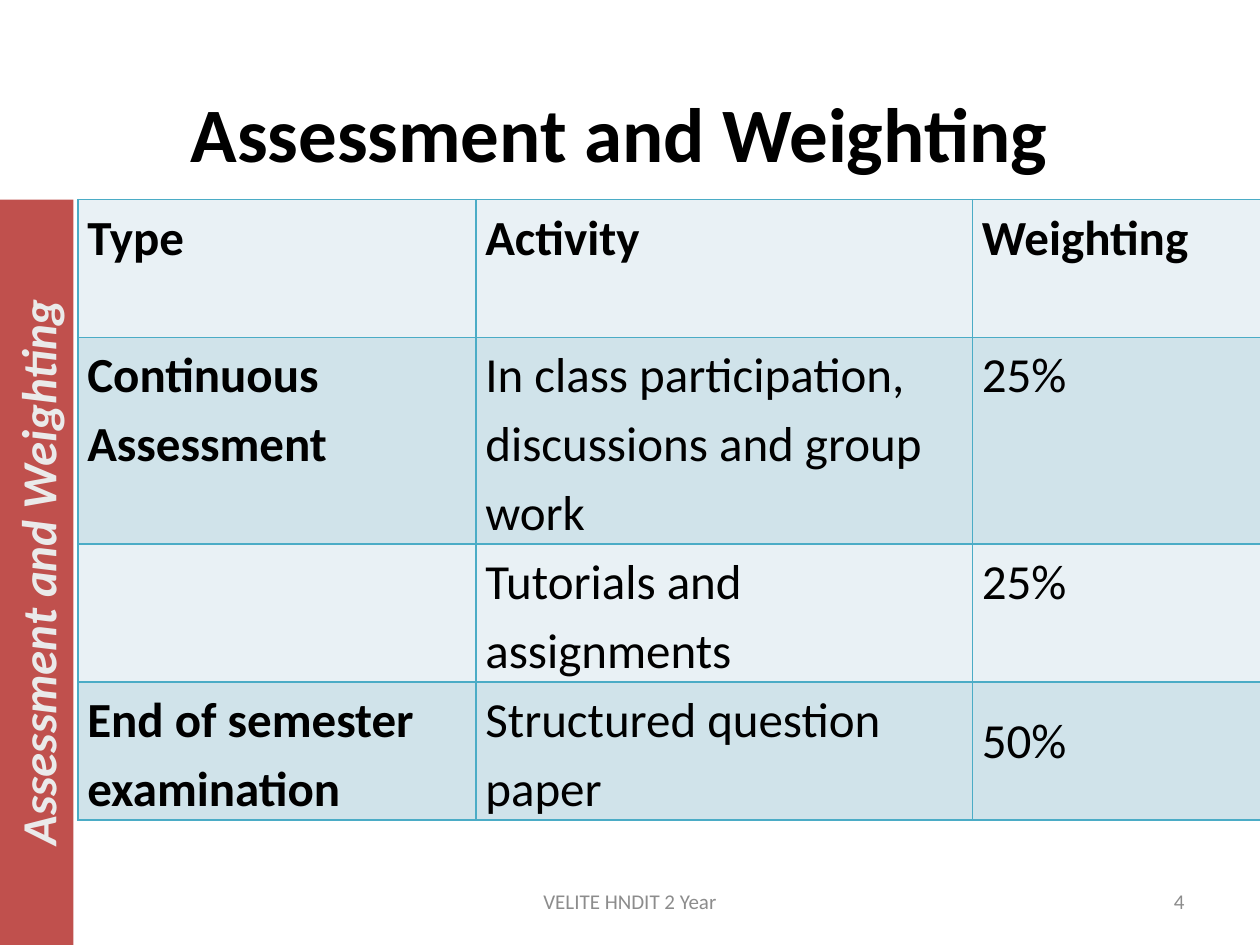
from typing import NamedTuple

from pptx import Presentation
from pptx.dml.color import RGBColor
from pptx.enum.shapes import MSO_SHAPE
from pptx.enum.text import MSO_ANCHOR, PP_ALIGN
from pptx.oxml.ns import qn
from pptx.util import Pt
from lxml import etree

LEFT, CENTER, RIGHT = PP_ALIGN.LEFT, PP_ALIGN.CENTER, PP_ALIGN.RIGHT
MIDDLE = MSO_ANCHOR.MIDDLE
RECTANGLE = MSO_SHAPE.RECTANGLE
TITLE_ONLY = 5

FONT = "Calibri"
BLACK, GREY, PALE = "000000", "8C8C8C", "EAEAEA"
RED, TEAL = "C0504D", "4BACC6"
BANDS = ("E9F1F5", "D0E3EA")
HEADING = "Assessment and Weighting"

COLUMN_WIDTHS = (227.5, 283.7, 164.9)
ROW_HEIGHTS = (78.8, 118.2, 78.8, 78.8)


class Cell(NamedTuple):
    """Text of one table cell and its format."""
    text: str
    bold: bool = False
    spacing: float = 1.15


class Footer(NamedTuple):
    """One text at the foot of the slide."""
    text: str
    left: float
    width: float
    align: PP_ALIGN


ROWS = (
    (Cell("Type", True), Cell("Activity", True), Cell("Weighting", True)),
    (Cell("Continuous Assessment", True),
     Cell("In class participation, discussions and group work"), Cell("25%")),
    (Cell(""), Cell("Tutorials and assignments"), Cell("25%")),
    (Cell("End of semester examination", True),
     Cell("Structured question paper"), Cell("50%", spacing=1.5)),
)
FOOTERS = (
    Footer("VELITE HNDIT 2 Year", 246, 228, CENTER),
    Footer("4", 516, 168, RIGHT),
)


def rgb(color: str) -> RGBColor:
    """Turn a hex string into a colour."""
    return RGBColor.from_string(color)


def write(tf, text: str, *, size: float, color: str = BLACK, bold: bool = False,
          italic: bool = False, align: PP_ALIGN = LEFT, spacing: float = 1.0,
          after: float = 0) -> None:
    """Write one formatted paragraph into a text frame."""
    tf.word_wrap = True
    p = tf.paragraphs[0]
    p.alignment, p.line_spacing, p.space_after = align, spacing, Pt(after)
    r = p.add_run()
    r.text = text
    font = r.font
    font.name, font.size, font.bold, font.italic = FONT, Pt(size), bold, italic
    font.color.rgb = rgb(color)


def add_borders(cell, color: str, width: float) -> None:
    """Draw a line on all four sides of a table cell."""
    tc_pr = cell._tc.get_or_add_tcPr()
    for side in ("a:lnL", "a:lnR", "a:lnT", "a:lnB"):
        ln = etree.SubElement(tc_pr, qn(side), w=str(int(Pt(width))))
        fill = etree.SubElement(ln, qn("a:solidFill"))
        etree.SubElement(fill, qn("a:srgbClr"), val=color)


def add_title(slide) -> None:
    """Place and fill the title placeholder."""
    title = slide.shapes.title
    title.left, title.top, title.width, title.height = Pt(30), Pt(30), Pt(648), Pt(90)
    title.text_frame.vertical_anchor = MIDDLE
    write(title.text_frame, HEADING, size=44, bold=True, align=CENTER)


def add_side_bar(slide) -> None:
    """Add the bar on the left edge, turned to read upwards."""
    length, depth, top = 426, 42, 114
    sp = slide.shapes.add_shape(RECTANGLE, Pt((depth - length) / 2),
                                Pt(top + (length - depth) / 2), Pt(length), Pt(depth))
    sp.rotation = 270
    sp.shadow.inherit = False
    sp.fill.solid()
    sp.fill.fore_color.rgb = rgb(RED)
    sp.line.fill.background()
    sp.text_frame.vertical_anchor = MIDDLE
    write(sp.text_frame, HEADING, size=28, color=PALE, bold=True, italic=True, align=CENTER)


def add_weighting_table(slide) -> None:
    """Add the table of assessment types, with rows in two alternating tints."""
    frame = slide.shapes.add_table(len(ROWS), len(COLUMN_WIDTHS), Pt(44.5), Pt(114),
                                   Pt(sum(COLUMN_WIDTHS)), Pt(sum(ROW_HEIGHTS)))
    table = frame.table
    table.first_row = table.horz_banding = False
    for column, width in zip(table.columns, COLUMN_WIDTHS):
        column.width = Pt(width)
    for i, (row, height) in enumerate(zip(table.rows, ROW_HEIGHTS)):
        row.height = Pt(height)
        for cell, content in zip(row.cells, ROWS[i]):
            cell.margin_left = cell.margin_right = Pt(5.4)
            cell.margin_top = cell.margin_bottom = 0
            add_borders(cell, TEAL, 1)
            cell.fill.solid()
            cell.fill.fore_color.rgb = rgb(BANDS[i % 2])
            if content.text:
                write(cell.text_frame, content.text, size=28, bold=content.bold,
                      spacing=content.spacing, after=10)


def add_footer(slide, footer: Footer) -> None:
    """Add one small grey text at the foot of the slide."""
    box = slide.shapes.add_textbox(Pt(footer.left), Pt(500.5), Pt(footer.width), Pt(28.75))
    box.text_frame.vertical_anchor = MIDDLE
    write(box.text_frame, footer.text, size=12, color=GREY, align=footer.align)


def main() -> None:
    """Build the slide and save it."""
    prs = Presentation()
    prs.slide_width, prs.slide_height = Pt(720), Pt(540)
    slide = prs.slides.add_slide(prs.slide_layouts[TITLE_ONLY])
    add_title(slide)
    add_side_bar(slide)
    add_weighting_table(slide)
    for footer in FOOTERS:
        add_footer(slide, footer)
    prs.save("out.pptx")


main()
